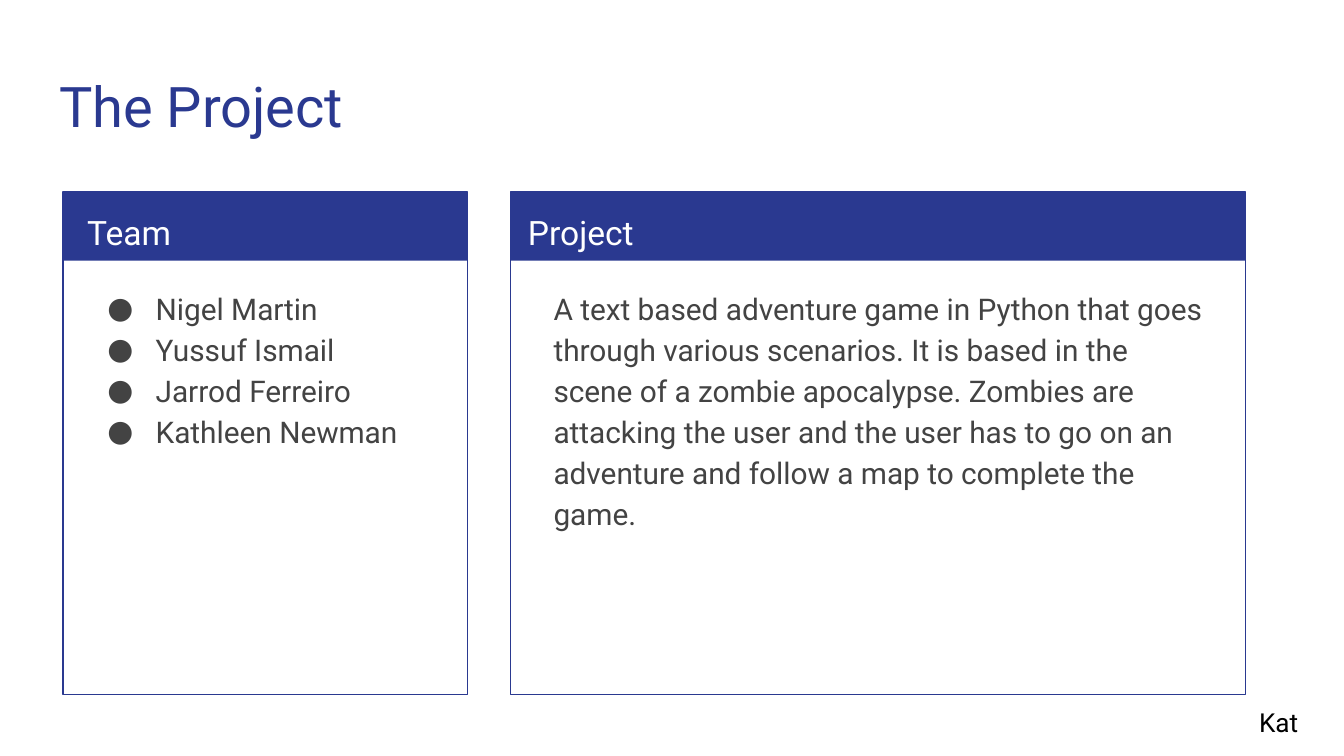
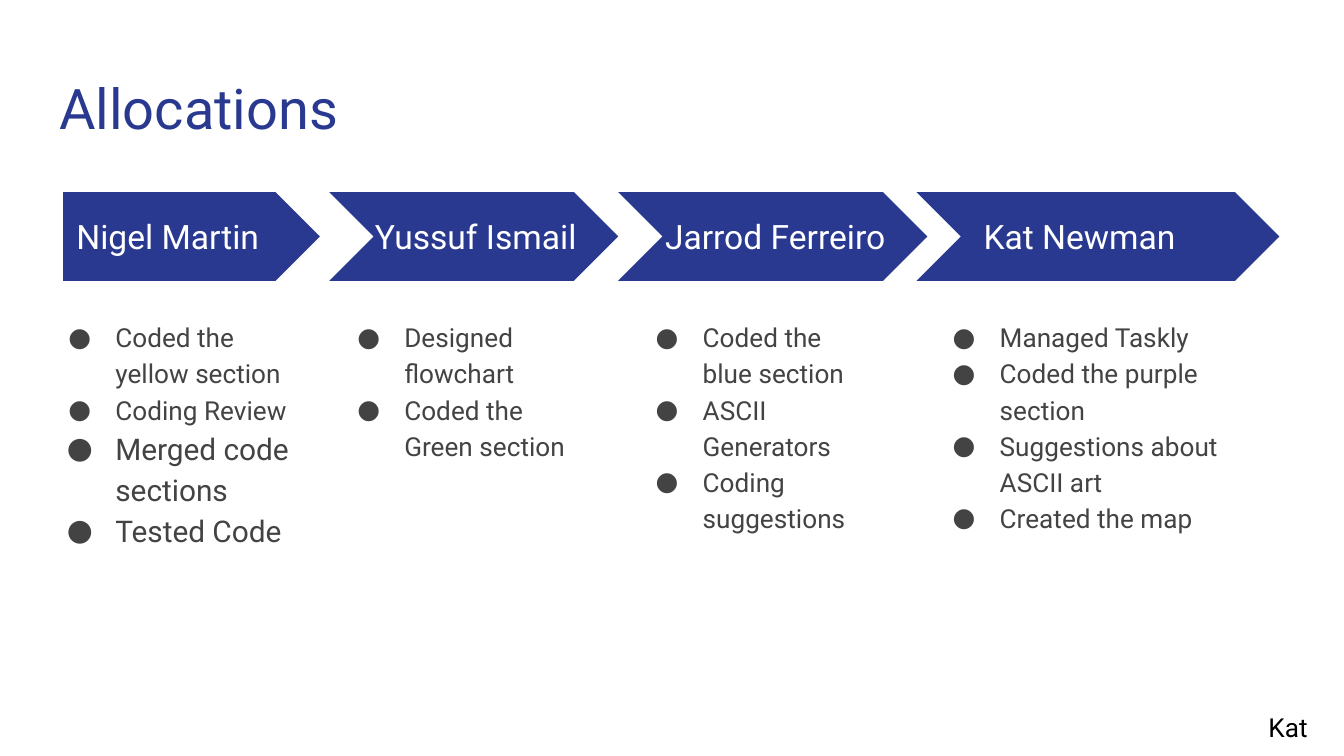
from lxml import etree
from pptx import Presentation
from pptx.dml.color import RGBColor
from pptx.enum.shapes import MSO_SHAPE
from pptx.enum.text import MSO_ANCHOR, MSO_AUTO_SIZE, PP_ALIGN
from pptx.oxml.ns import qn
from pptx.util import Pt

RECT, PENTAGON, CHEVRON = MSO_SHAPE.RECTANGLE, MSO_SHAPE.PENTAGON, MSO_SHAPE.CHEVRON
TOP, MIDDLE = MSO_ANCHOR.TOP, MSO_ANCHOR.MIDDLE
LEFT, NO_FIT = PP_ALIGN.LEFT, MSO_AUTO_SIZE.NONE

PX = 9144
FONT = "Roboto"
NAVY = RGBColor(0x2A, 0x39, 0x90)
GREY = RGBColor(0x43, 0x43, 0x43)
WHITE = RGBColor(0xFF, 0xFF, 0xFF)
BLACK = RGBColor(0, 0, 0)

TITLE = {"size": 30, "color": NAVY}
HEADING = {"size": 18, "color": WHITE}
BODY = {"size": 16, "color": GREY, "hang": 36}
ITEM = {"size": 14, "color": GREY, "hang": 35}
FOOTER = {"size": 14, "color": BLACK}

BAND_TOP = 143
PANEL_H, BAR_H, ARROW_H = 374, 51, 66

TEAM = ["Nigel Martin", "Yussuf Ismail", "Jarrod Ferreiro", "Kathleen Newman"]
PROJECT = (
    "A text based adventure game in Python that goes through various scenarios. "
    "It is based in the scene of a zombie apocalypse. Zombies are attacking the user "
    "and the user has to go on an adventure and follow a map to complete the game."
)

# (name, arrow x and width, label x and width, list x and width, items with size)
STAGES = [
    ("Nigel Martin", (47, 191), (47, 173), (26, 215),
     [("Coded the yellow section", ITEM), ("Coding Review", ITEM),
      ("Merged code sections", BODY), ("Tested Code", BODY)]),
    ("Yussuf Ismail", (245, 215), (269, 191), (241, 198),
     [("Designed flowchart", ITEM), ("Coded the Green section", ITEM)]),
    ("Jarrod Ferreiro", (460, 230), (485, 198), (463, 198),
     [("Coded the blue section", ITEM), ("ASCII Generators", ITEM),
      ("Coding suggestions", ITEM)]),
    ("Kat Newman", (682, 270), (722, 209), (684, 270),
     [("Managed Taskly", ITEM), ("Coded the purple section", ITEM),
      ("Suggestions about ASCII art", ITEM), ("Created the map", ITEM)]),
]


def px(*lengths):
    """Turn px lengths into EMU."""
    return [n * PX for n in lengths]


def set_attrs(obj, values):
    """Set each attribute named in a dict."""
    for name, value in values.items():
        setattr(obj, name, value)


def add_bullet(p, hang):
    """Give a paragraph a hanging round bullet."""
    pPr = p._p.get_or_add_pPr()
    pPr.set("marL", str(50 * PX))
    pPr.set("indent", str(-hang * PX))
    clr = etree.SubElement(pPr, qn("a:buClr"))
    etree.SubElement(clr, qn("a:srgbClr")).set("val", str(GREY))
    etree.SubElement(pPr, qn("a:buFont")).set("typeface", FONT)
    etree.SubElement(pPr, qn("a:buChar")).set("char", "●")


def fill_text(sp, lines, anchor=TOP, spacing=1.0, bullets=False):
    """Write (text, style) lines into a shape."""
    tf = sp.text_frame
    margins = dict.fromkeys(
        ("margin_left", "margin_top", "margin_right", "margin_bottom"), 10 * PX)
    set_attrs(tf, {"word_wrap": True, "auto_size": NO_FIT,
                   "vertical_anchor": anchor, **margins})
    for i, (text, style) in enumerate(lines):
        p = tf.add_paragraph() if i else tf.paragraphs[0]
        set_attrs(p, {"alignment": LEFT, "line_spacing": spacing,
                      "space_before": Pt(0), "space_after": Pt(0)})
        if bullets:
            add_bullet(p, style["hang"])
        r = p.add_run()
        r.text = text
        set_attrs(r.font, {"name": FONT, "size": Pt(style["size"])})
        r.font.color.rgb = style["color"]


def add_text(s, box, lines, **layout):
    """Add a text box holding (text, style) lines."""
    fill_text(s.shapes.add_textbox(*px(*box)), lines, **layout)


def add_block(s, kind, box, filled=True):
    """Add a navy shape, either solid or outlined."""
    sp = s.shapes.add_shape(kind, *px(*box))
    sp.shadow.inherit = False
    if filled:
        sp.fill.solid()
        sp.fill.fore_color.rgb = NAVY
        sp.line.fill.background()
    else:
        sp.fill.background()
        sp.line.color.rgb = NAVY
        sp.line.width = Pt(0.75)


def add_slide(prs, title, title_top):
    """Add a white slide with its title."""
    s = prs.slides.add_slide(prs.slide_layouts[5])
    s.background.fill.solid()
    s.background.fill.fore_color.rgb = WHITE
    sp = s.shapes.title
    set_attrs(sp, dict(zip(("left", "top", "width", "height"),
                           px(34, title_top, 932, 66))))
    fill_text(sp, [(title, TITLE)])
    return s


def add_footer(s, x, y):
    """Add the presenter's name."""
    add_text(s, (x, y, 66, 44), [("Kat", FOOTER)])


def add_panel(s, x, w, heading, heading_box, body_box, lines, bullets=False):
    """Add an outlined panel with a heading bar and body text."""
    add_block(s, RECT, (x, BAND_TOP, w, BAR_H))
    add_block(s, RECT, (x, BAND_TOP, w, PANEL_H), filled=False)
    heading_x, heading_w = heading_box
    add_text(s, (heading_x, BAND_TOP, heading_w, 50), [(heading, HEADING)], spacing=1.15)
    body_x, body_w = body_box
    add_text(s, (body_x, 202, body_w, 306), lines, spacing=1.15, bullets=bullets)


def add_stage(s, kind, name, arrow, label, column, items):
    """Add an arrow with a person's name and their tasks below."""
    add_block(s, kind, (arrow[0], BAND_TOP, arrow[1], ARROW_H))
    add_text(s, (label[0], 159, label[1], 34), [(name, HEADING)], anchor=MIDDLE)
    add_text(s, (column[0], 226, column[1], 211), items, spacing=1.15, bullets=True)


def build_project(prs):
    """Build the slide on the team and the project."""
    s = add_slide(prs, "The Project", 43)
    add_panel(s, 47, 301, "Team", (55, 273), (56, 261),
              [(name, BODY) for name in TEAM], bullets=True)
    add_panel(s, 380, 547, "Project", (383, 547), (402, 508), [(PROJECT, BODY)])
    add_footer(s, 927, 516)


def build_allocations(prs):
    """Build the slide on who did what."""
    s = add_slide(prs, "Allocations", 45)
    for i, stage in enumerate(STAGES):
        add_stage(s, CHEVRON if i else PENTAGON, *stage)
    add_footer(s, 934, 519)


def main():
    """Build and save the presentation."""
    prs = Presentation()
    prs.slide_width = 1000 * PX
    prs.slide_height = prs.slide_width * 9 // 16
    build_project(prs)
    build_allocations(prs)
    prs.save("out.pptx")


if __name__ == "__main__":
    main()
